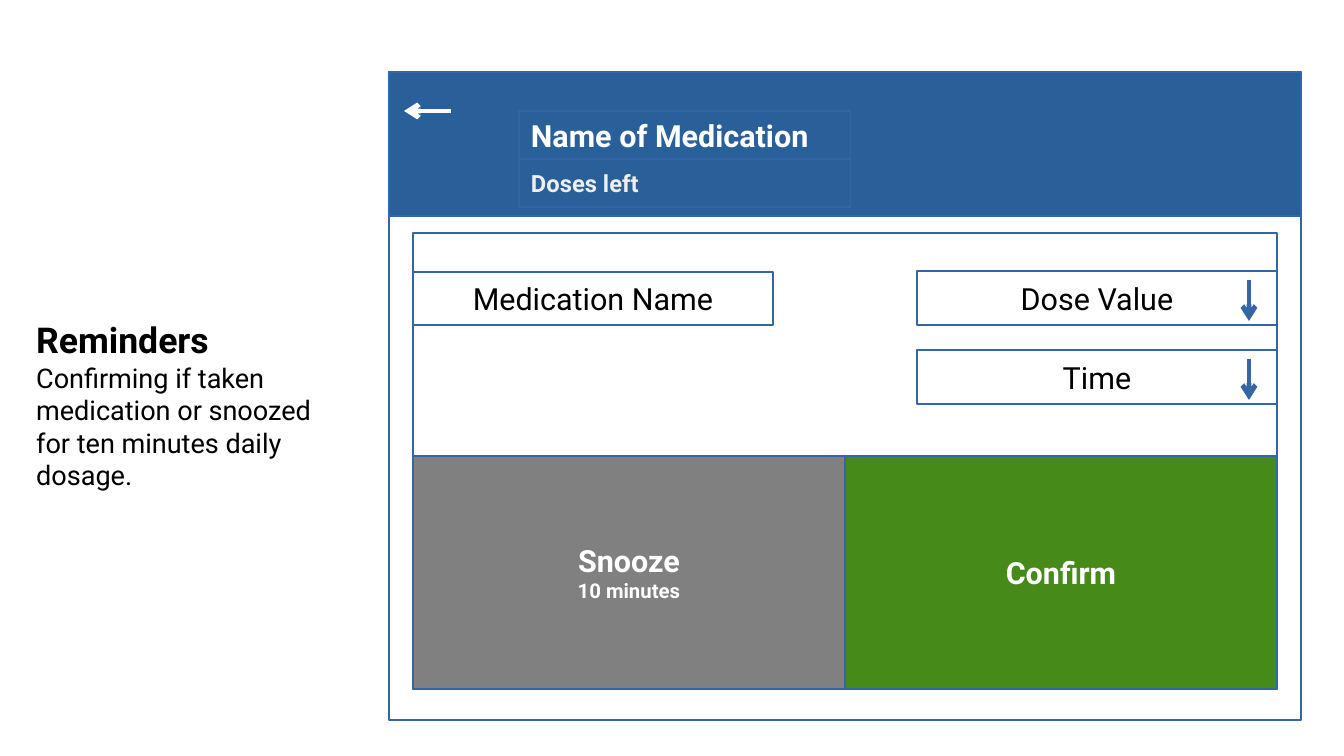
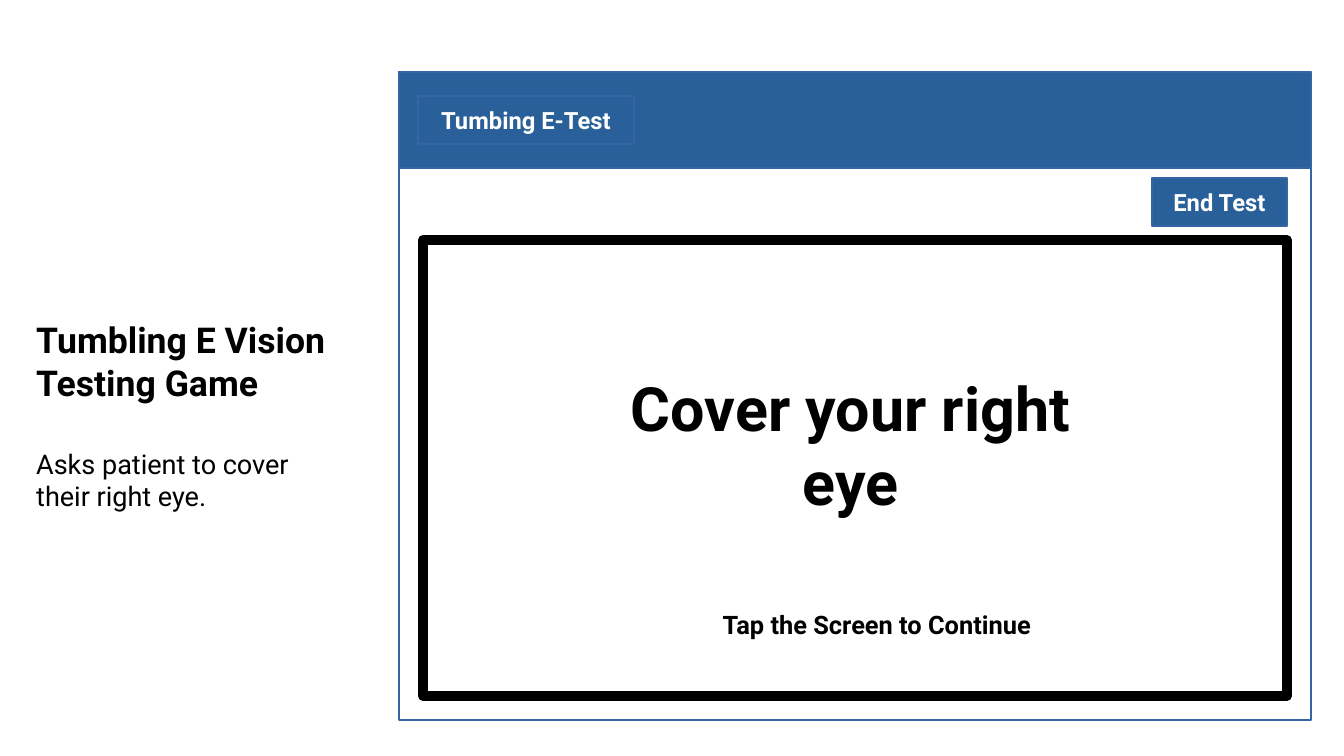
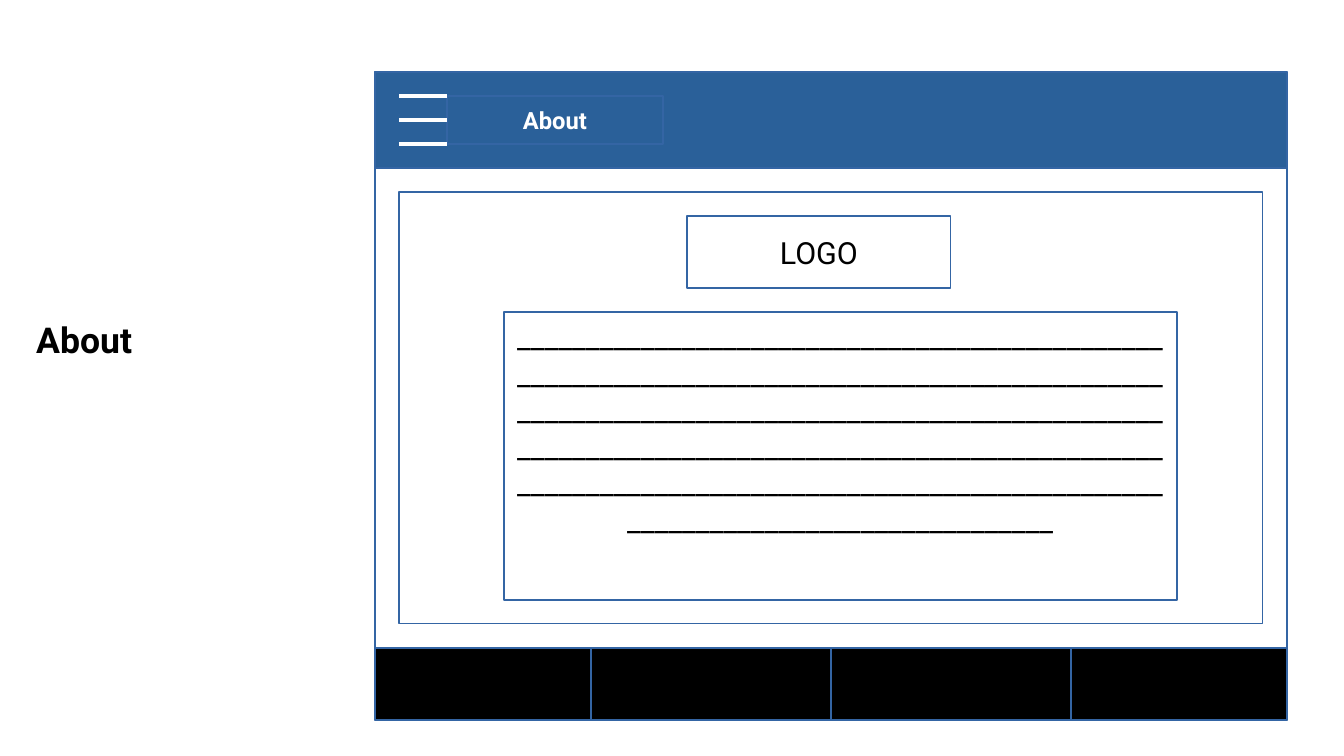
from dataclasses import dataclass

from lxml.etree import SubElement
from pptx import Presentation
from pptx.dml.color import RGBColor
from pptx.enum.shapes import MSO_CONNECTOR, MSO_SHAPE
from pptx.enum.text import MSO_ANCHOR, MSO_AUTO_SIZE, PP_ALIGN
from pptx.oxml.ns import qn
from pptx.util import Pt

EMU_PER_PX = 914400 / 122
FONT = "Roboto"
COLORS = {
    "white": "FFFFFF",
    "black": "000000",
    "outline": "3465A4",
    "header": "2A6099",
    "pale": "EEEEEE",
    "snooze": "808080",
    "confirm": "468A1A",
}
HAIRLINE, STROKE, FRAME = 0, 2.83, 5.67  # line widths in points
MARGIN = 24
TITLE_LINE = 43


@dataclass
class Box:
    left: int
    top: int
    width: int
    height: int

    @property
    def right(self):
        return self.left + self.width

    def inside(self, left, top, width, height):
        """Give a box placed from this one's top left corner."""
        return Box(self.left + left, self.top + top, width, height)

    def emu(self):
        return [px(v) for v in (self.left, self.top, self.width, self.height)]


def px(value):
    return round(value * EMU_PER_PX)


def color(name):
    return RGBColor.from_string(COLORS[name])


# Basic parts
def write(frame, text, sizes, ink="black", bold=False,
          align=PP_ALIGN.CENTER, anchor=MSO_ANCHOR.MIDDLE):
    """Fill a text frame; sizes holds one size for each paragraph."""
    frame.text = text
    frame.word_wrap = True
    frame.auto_size = MSO_AUTO_SIZE.NONE
    frame.vertical_anchor = anchor
    for para, size in zip(frame.paragraphs, sizes):
        para.alignment = align
        para.space_before = Pt(0)
        for span in para.runs:
            span.font.name = FONT
            span.font.size = Pt(size)
            span.font.bold = bold
            span.font.color.rgb = color(ink)


def add_panel(page, box, fill="white", line="outline", width=HAIRLINE):
    panel = page.shapes.add_shape(MSO_SHAPE.RECTANGLE, *box.emu())
    panel.shadow.inherit = False
    if fill:
        panel.fill.solid()
        panel.fill.fore_color.rgb = color(fill)
    else:
        panel.fill.background()
    panel.line.color.rgb = color(line)
    panel.line.width = Pt(width)
    return panel


def add_label(page, box, text, sizes, fill="white", **style):
    panel = add_panel(page, box, fill)
    write(panel.text_frame, text, sizes, **style)
    return panel


def add_text(page, box, text, size):
    note = page.shapes.add_textbox(*box.emu())
    write(note.text_frame, text, [size], bold=True, anchor=MSO_ANCHOR.TOP)


def add_stroke(page, start, end, ink, arrow=False):
    stroke = page.shapes.add_connector(
        MSO_CONNECTOR.STRAIGHT, *[px(v) for v in (*start, *end)])
    stroke.line.color.rgb = color(ink)
    stroke.line.width = Pt(STROKE)
    properties = stroke._element.spPr
    if arrow:
        SubElement(properties.find(qn("a:ln")), qn("a:tailEnd"), type="arrow")
    SubElement(properties, qn("a:effectLst"))
    return stroke


# Regions shared by the slides
def add_page(deck, title, body="", title_lines=1, gap_lines=0):
    """Add a slide with its caption on the left."""
    page = deck.slides.add_slide(deck.slide_layouts[1 if body else 5])
    style = {"align": PP_ALIGN.LEFT, "anchor": MSO_ANCHOR.TOP}
    caption = Box(MARGIN, 312, 337, 12 + TITLE_LINE * title_lines)
    heading = page.shapes.title
    heading.left, heading.top, heading.width, heading.height = caption.emu()
    write(heading.text_frame, title, [21], bold=True, **style)
    if body:
        area = caption.inside(0, TITLE_LINE * (title_lines + gap_lines), 337, 145)
        detail = page.placeholders[1]
        detail.left, detail.top, detail.width, detail.height = area.emu()
        write(detail.text_frame, body, [16], **style)
        for para in detail.text_frame.paragraphs:
            settings = para._p.get_or_add_pPr()
            settings.set("marL", "0")
            settings.set("indent", "0")
            SubElement(settings, qn("a:buNone"))
    return page


def add_screen(page, left, header_height):
    """Draw the app window with its header band."""
    screen = Box(left, 72, 912, 648)
    add_panel(page, screen)
    add_panel(page, screen.inside(0, 0, screen.width, header_height), "header")
    return screen


def add_header_title(page, screen, left, text):
    return add_label(page, screen.inside(left, 24, 216, 48), text, [14],
                     fill=None, ink="white", bold=True)


# Regions of single slides
def add_medication_header(page, screen):
    add_stroke(page, (screen.left + 62, screen.top + 39),
               (screen.left + 15, screen.top + 39), "white", arrow=True)
    rows = [("Name of Medication", 18, "white"), ("Doses left", 14, "pale")]
    for index, (text, size, ink) in enumerate(rows):
        add_label(page, screen.inside(130, 39 + 48 * index, 332, 48), text, [size],
                  fill=None, ink=ink, bold=True, align=PP_ALIGN.LEFT)


def add_dropdown(page, box, text):
    add_label(page, box, text, [18])
    arrow_left = box.right - 28
    add_stroke(page, (arrow_left, box.top + 9), (arrow_left, box.top + 50),
               "outline", arrow=True)


def add_reminder_card(page, card):
    add_panel(page, card)
    add_label(page, card.inside(0, 39, 360, 53), "Medication Name", [18])
    for index, text in enumerate(["Dose Value", "Time"]):
        add_dropdown(page, card.inside(card.width - 360, 38 + 79 * index, 360, 54), text)
    half = card.width // 2
    buttons = [("Snooze\n10 minutes", [18, 12], "snooze"),
               ("Confirm", [18], "confirm")]
    for index, (text, sizes, fill) in enumerate(buttons):
        add_label(page, card.inside(half * index, 223, half, card.height - 223),
                  text, sizes, fill, ink="white", bold=True)


def add_test_area(page, area):
    add_panel(page, area, line="black", width=FRAME)
    add_label(page, area.inside(area.width - 135, -62, 135, 48), "End Test", [14],
              "header", ink="white", bold=True)
    add_text(page, area.inside(149, 125, 557, 149), "Cover your right eye", 36)
    add_text(page, area.inside(226, 363, 456, 40), "Tap the Screen to Continue", 15)


def add_menu_header(page, screen, text):
    title = add_header_title(page, screen, 72, text)
    bars = [add_stroke(page, (screen.left + 24, screen.top + down),
                       (screen.left + 72, screen.top + down), "white")
            for down in (24, 48, 72)]
    bars[1].end_connect(title, 1)


def add_about_card(page, card):
    add_panel(page, card)
    add_label(page, card.inside(288, 24, 264, 72), "LOGO", [18])
    add_label(page, card.inside(105, 120, 673, 288), "_" * 266, [18],
              anchor=MSO_ANCHOR.TOP)


def add_tab_bar(page, bar):
    left = 0
    for width in (216, 240, 240, 216):
        add_panel(page, bar.inside(left, 0, width, bar.height), "black")
        left += width


# Slides
def build_reminders(deck):
    page = add_page(deck, "Reminders",
                    "Confirming if taken medication or snoozed "
                    "for ten minutes daily dosage.")
    screen = add_screen(page, 389, 144)
    add_medication_header(page, screen)
    add_reminder_card(page, screen.inside(MARGIN, 161, 864, 456))


def build_vision_test(deck):
    page = add_page(deck, "Tumbling E Vision Testing Game",
                    "Asks patient to cover their right eye.",
                    title_lines=2, gap_lines=1)
    screen = add_screen(page, 399, 96)
    add_header_title(page, screen, 19, "Tumbing E-Test")
    add_test_area(page, screen.inside(MARGIN, 168, 864, 456))


def build_about(deck):
    page = add_page(deck, "About")
    screen = add_screen(page, 375, 96)
    add_menu_header(page, screen, "About")
    add_about_card(page, screen.inside(MARGIN, 120, 864, 432))
    add_tab_bar(page, screen.inside(0, 576, screen.width, 72))


def main():
    deck = Presentation()
    deck.slide_width, deck.slide_height = px(1344), px(756)
    build_reminders(deck)
    build_vision_test(deck)
    build_about(deck)
    deck.save("out.pptx")


if __name__ == "__main__":
    main()
